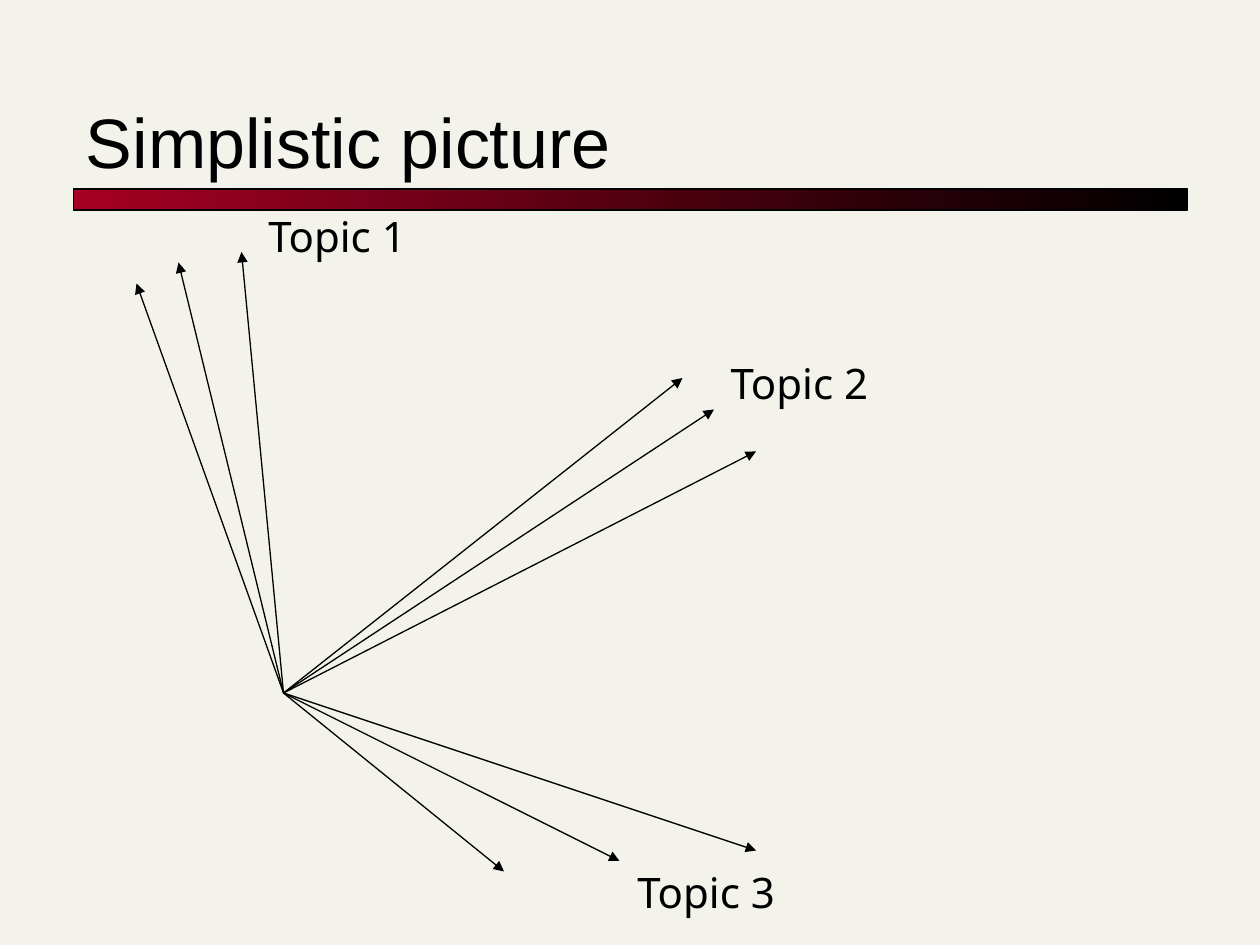
from lxml import etree
from pptx import Presentation
from pptx.dml.color import RGBColor
from pptx.enum.shapes import MSO_CONNECTOR, MSO_SHAPE
from pptx.enum.text import MSO_ANCHOR, MSO_AUTO_SIZE
from pptx.oxml.ns import qn
from pptx.util import Pt

RECT = MSO_SHAPE.RECTANGLE
LINE = MSO_CONNECTOR.STRAIGHT
TOP = MSO_ANCHOR.TOP
BOTTOM = MSO_ANCHOR.BOTTOM
FIT = MSO_AUTO_SIZE.SHAPE_TO_FIT_TEXT
FIXED = MSO_AUTO_SIZE.NONE

BLACK = "000000"
RED = "A50021"
CREAM = "F4F3EB"
ORIGIN = (162, 396)
TOPICS = [
    ("Topic 1", (146.2, 116.6), [(78, 162), (102, 150), (138, 144)]),
    ("Topic 2", (410.4, 200.9), [(390, 216), (408, 234), (432, 258)]),
    ("Topic 3", (357.1, 491.8), [(354, 492), (288, 498), (432, 486)]),
]


def color(code):
    return RGBColor.from_string(code)


def add_bar(slide, left, top, width, height):
    bar = slide.shapes.add_shape(RECT, Pt(left), Pt(top), Pt(width), Pt(height))
    bar.shadow.inherit = False
    bar.fill.gradient()
    bar.fill.gradient_angle = 0
    for stop, code, place in zip(bar.fill.gradient_stops, (RED, BLACK), (0, 1)):
        stop.color.rgb = color(code)
        stop.position = place
    bar.line.color.rgb = color(BLACK)
    bar.line.width = Pt(0.75)


def add_text(slide, text, box, size, font, anchor=TOP, wrap=False):
    shape = slide.shapes.add_textbox(*map(Pt, box))
    frame = shape.text_frame
    frame.word_wrap = wrap
    frame.auto_size = FIXED if wrap else FIT
    frame.vertical_anchor = anchor
    run = frame.paragraphs[0].add_run()
    run.text = text
    run.font.size = Pt(size)
    run.font.name = font
    run.font.color.rgb = color(BLACK)


def add_arrow(slide, start, end):
    arrow = slide.shapes.add_connector(LINE, *map(Pt, start + end))
    arrow.line.color.rgb = color(BLACK)
    arrow.line.width = Pt(0.75)
    props = arrow.element.spPr
    etree.SubElement(props.find(qn("a:ln")), qn("a:tailEnd"), type="triangle")
    etree.SubElement(props, qn("a:effectLst"))


def main():
    deck = Presentation()
    deck.slide_width, deck.slide_height = Pt(720), Pt(540)
    slide = deck.slides.add_slide(deck.slide_layouts[6])
    slide.background.fill.solid()
    slide.background.fill.fore_color.rgb = color(CREAM)

    add_bar(slide, 42, 108, 636.5, 12)
    add_text(slide, "Simplistic picture", (42, 30, 636, 78), 40, "Arial", BOTTOM, True)
    for name, spot, tips in TOPICS:
        for tip in tips:
            add_arrow(slide, ORIGIN, tip)
        add_text(slide, name, spot + (94.3, 36), 24, "Noto Sans")
    deck.save("out.pptx")


if __name__ == "__main__":
    main()
